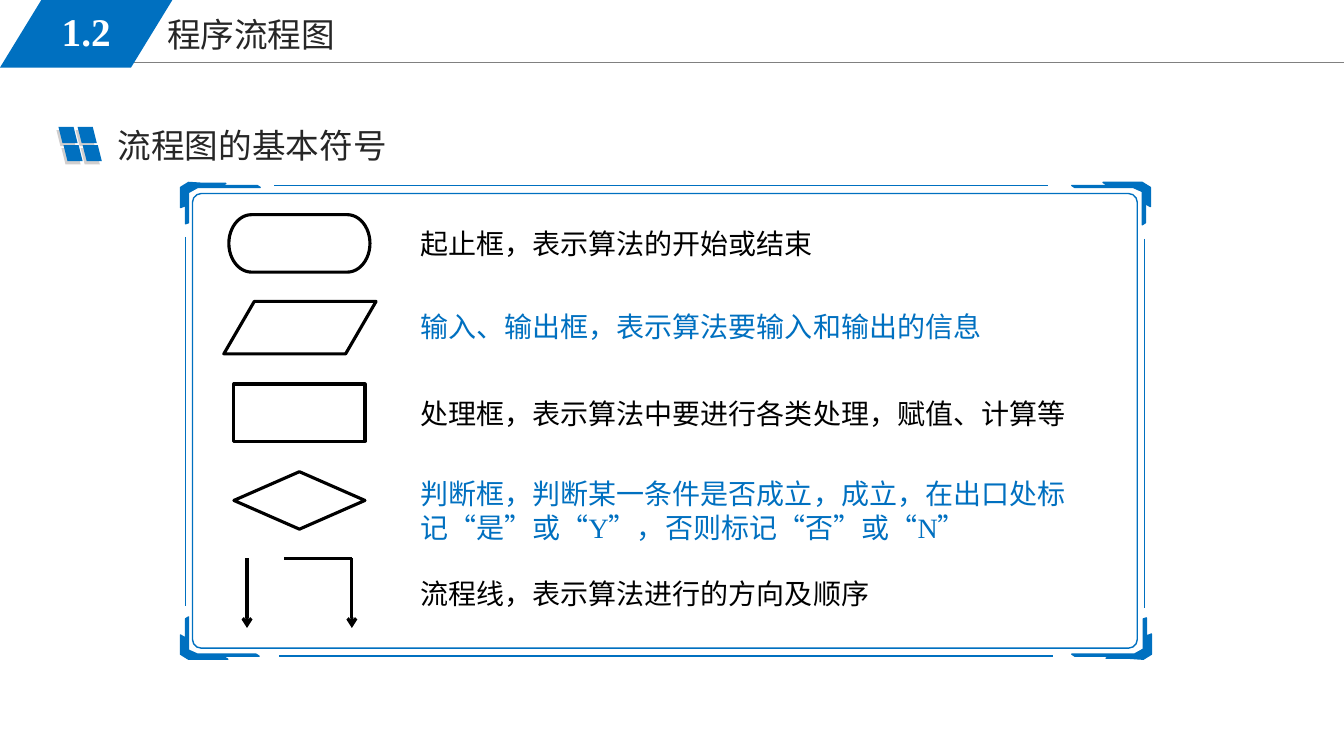
"""Build the slide on the basic flowchart symbols."""
from lxml import etree
from pptx import Presentation
from pptx.dml.color import RGBColor
from pptx.enum.shapes import MSO_CONNECTOR, MSO_SHAPE
from pptx.enum.text import MSO_ANCHOR, PP_ALIGN
from pptx.oxml.ns import qn
from pptx.util import Inches, Pt

BLUE = RGBColor(0x00, 0x70, 0xC0)
BLACK = RGBColor(0x00, 0x00, 0x00)
WHITE = RGBColor(0xFF, 0xFF, 0xFF)
DARK = RGBColor(0x26, 0x26, 0x26)
GRAY = RGBColor(0x80, 0x80, 0x80)
PALE = RGBColor(0xD0, 0xCE, 0xCE)
SANS = "Noto Sans CJK SC"
SERIF = "Times New Roman"
SLANT = MSO_SHAPE.PARALLELOGRAM
ROUND = MSO_SHAPE.ROUNDED_RECTANGLE
STRAIGHT = MSO_CONNECTOR.STRAIGHT
LEFT, CENTER = PP_ALIGN.LEFT, PP_ALIGN.CENTER
TOP, MIDDLE = MSO_ANCHOR.TOP, MSO_ANCHOR.MIDDLE

NUMBER = "1.2"
TITLE = "程序流程图"
HEADING = "流程图的基本符号"
SYMBOLS = [
    (MSO_SHAPE.FLOWCHART_TERMINATOR, (2.27, 2.13, 1.4, 0.57)),
    (MSO_SHAPE.FLOWCHART_DATA, (2.22, 2.99, 1.51, 0.52)),
    (MSO_SHAPE.FLOWCHART_PROCESS, (2.32, 3.81, 1.3, 0.57)),
    (MSO_SHAPE.FLOWCHART_DECISION, (2.32, 4.68, 1.3, 0.57)),
]
NOTES = [
    (2.2, 0.44, BLACK, "起止框，表示算法的开始或结束"),
    (3.02, 0.44, BLUE, "输入、输出框，表示算法要输入和输出的信息"),
    (3.88, 0.44, BLACK, "处理框，表示算法中要进行各类处理，赋值、计算等"),
    (4.68, 0.77, BLUE, "判断框，判断某一条件是否成立，成立，在出口处标记“是”或“Y”，否则标记“否”或“N”"),
    (5.67, 0.44, BLACK, "流程线，表示算法进行的方向及顺序"),
]
FLOWS = [
    (2.45, 5.54, 2.45, 6.23, True),
    (3.49, 5.54, 3.49, 6.23, True),
    (2.82, 5.54, 3.49, 5.54, False),
]
EDGES = [
    (2.72, 1.84, 10.39, 1.84),
    (2.77, 6.51, 10.44, 6.51),
    (1.84, 2.35, 1.84, 6.01),
    (11.35, 2.37, 11.35, 6.03),
]
WIDE = [
    (0.08, 0), (0.23, 0.01), (0.45, 0.01), (0.4, 0.03), (0.76, 0.03),
    (0.79, 0.05), (0.17, 0.05), (0.08, 0.1), (0.08, 0.4), (0.05, 0.41),
    (0.05, 0.23), (0, 0.25), (0, 0.05),
]
TALL = [
    (0.08, 0), (0.47, 0), (0.42, 0.03), (0.78, 0.03), (0.75, 0.05),
    (0.17, 0.05), (0.08, 0.09), (0.08, 0.42), (0.05, 0.4), (0.05, 0.21),
    (0, 0.24), (0, 0.05),
]
CORNERS = [
    (WIDE, 1.79, 1.81, 1, 1),
    (TALL, 11.41, 1.81, -1, 1),
    (TALL, 1.79, 6.54, 1, -1),
    (WIDE, 11.42, 6.54, -1, -1),
]


def paint(shape, fill, line=None, width=1):
    shape.shadow.inherit = False
    if fill is None:
        shape.fill.background()
    else:
        shape.fill.solid()
        shape.fill.fore_color.rgb = fill
    if line is None:
        shape.line.fill.background()
    else:
        shape.line.color.rgb = line
        shape.line.width = Pt(width)


def add_box(slide, kind, box, fill, line=None, width=1):
    shape = slide.shapes.add_shape(kind, *map(Inches, box))
    paint(shape, fill, line, width)
    return shape


def add_line(slide, ends, color, width, arrow=False):
    line = slide.shapes.add_connector(STRAIGHT, *map(Inches, ends))
    line.line.color.rgb = color
    line.line.width = Pt(width)
    if arrow:
        etree.SubElement(line.line._get_or_add_ln(), qn("a:tailEnd"), type="arrow")
    etree.SubElement(line._element.spPr, qn("a:effectLst"))


def add_text(slide, box, text, size, color, font, bold=False, align=LEFT, anchor=TOP):
    frame = slide.shapes.add_textbox(*map(Inches, box)).text_frame
    frame.word_wrap = True
    frame.vertical_anchor = anchor
    para = frame.paragraphs[0]
    para.alignment = align
    run = para.add_run()
    run.text = text
    run.font.size = Pt(size)
    run.font.bold = bold
    run.font.color.rgb = color
    run.font.name = font
    etree.SubElement(run.font._element, qn("a:ea"), typeface=SANS)


def add_header(slide):
    add_line(slide, (1.13, 0.62, 13.33, 0.62), GRAY, 0.75)
    add_text(slide, (1.56, 0.09, 5.67, 0.51), TITLE, 24, DARK, SANS)
    badge = add_box(slide, SLANT, (0, 0, 1.71, 0.67), BLUE)
    badge.adjustments[0] = 0.612
    add_text(slide, (0.25, 0.02, 1.21, 0.58), NUMBER, 28, WHITE, SERIF, True, CENTER, MIDDLE)


def add_heading(slide):
    for left, top, color in [(0.56, 1.29, PALE), (0.58, 1.26, BLUE)]:
        for col in range(2):
            for row in range(2):
                spot = (left + 0.19 * col + 0.05 * row, top + 0.18 * row, 0.19, 0.16)
                tile = add_box(slide, SLANT, spot, color)
                tile._element.spPr.xfrm.set("flipH", "1")
    add_text(slide, (1.07, 1.19, 3.13, 0.5), HEADING, 24, DARK, SANS)


def add_symbols(slide):
    for kind, box in SYMBOLS:
        shape = add_box(slide, kind, box, WHITE, BLACK, 2.25)
        tint = shape._element.spPr.find(qn("a:solidFill"))[0]
        etree.SubElement(tint, qn("a:alpha"), val="26000")
    for *ends, arrow in FLOWS:
        add_line(slide, ends, BLACK, 2.25, arrow)
    for top, height, color, text in NOTES:
        add_text(slide, (4.07, top, 7.22, height), text, 20, color, SERIF)


def add_frame(slide):
    panel = add_box(slide, ROUND, (1.91, 1.92, 9.37, 4.51), None, BLUE)
    panel.adjustments[0] = 0.019
    for outline, left, top, across, down in CORNERS:
        dots = [(Inches(left + across * x), Inches(top + down * y)) for x, y in outline]
        pen = slide.shapes.build_freeform(*dots[0])
        pen.add_line_segments(dots[1:], close=True)
        paint(pen.convert_to_shape(), BLUE, BLUE)
    for ends in EDGES:
        add_line(slide, ends, BLUE, 1)


def main():
    deck = Presentation()
    deck.slide_width, deck.slide_height = Inches(13.33), Inches(7.5)
    slide = deck.slides.add_slide(deck.slide_layouts[6])
    add_header(slide)
    add_heading(slide)
    add_symbols(slide)
    add_frame(slide)
    deck.save("out.pptx")


if __name__ == "__main__":
    main()
